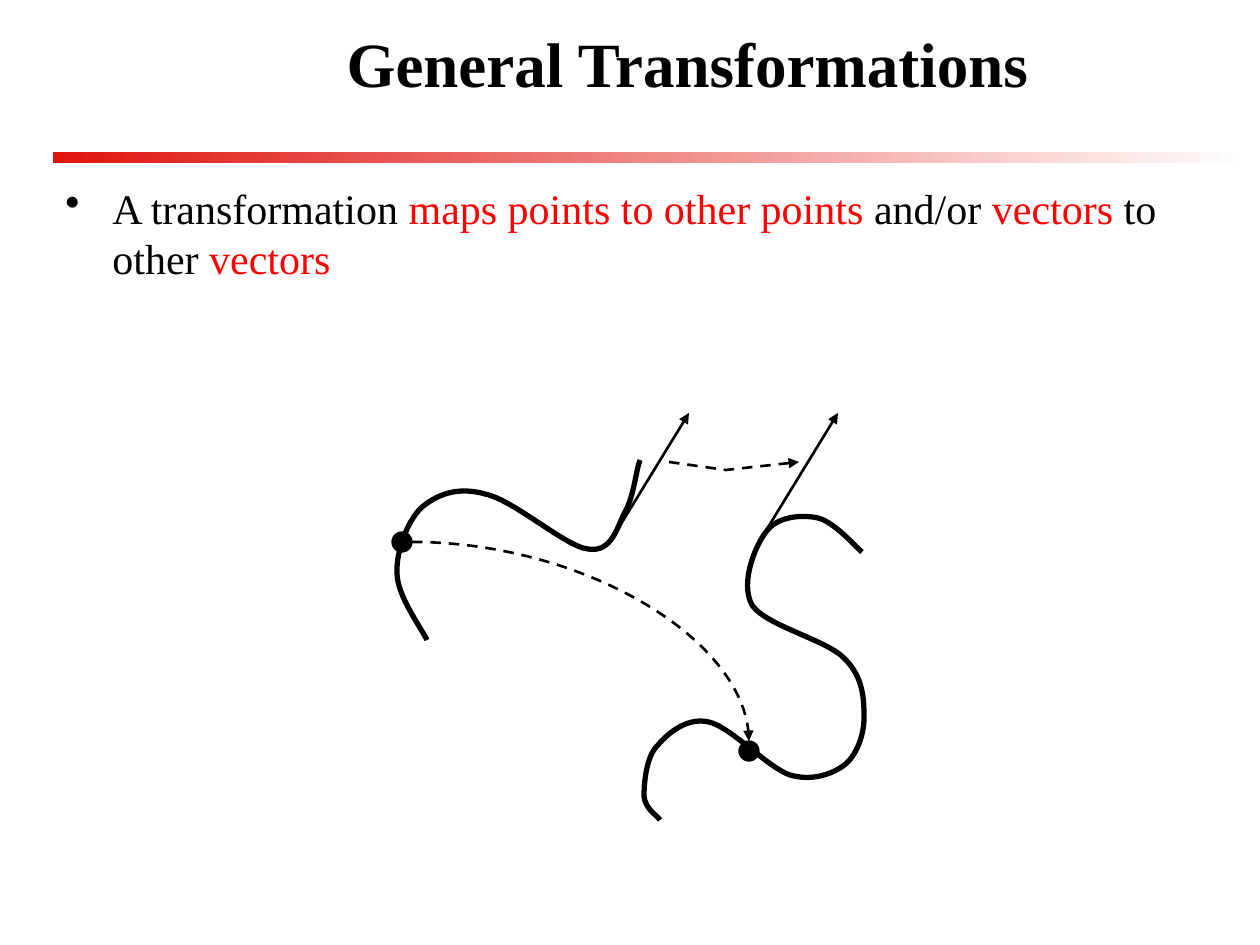
from dataclasses import dataclass

from lxml.etree import SubElement
from pptx import Presentation
from pptx.dml.color import RGBColor
from pptx.enum.dml import MSO_LINE_DASH_STYLE as Dash
from pptx.enum.shapes import MSO_CONNECTOR as Connector, MSO_SHAPE as Shape
from pptx.enum.text import MSO_ANCHOR as Anchor, MSO_AUTO_SIZE as AutoSize, PP_ALIGN as Align
from pptx.oxml.ns import qn
from pptx.util import Emu, Pt

SCALE = 914400 / 126  # EMU per px
Point = tuple[int, int]


@dataclass(frozen=True)
class Theme:
    font: str = "Times New Roman"
    ink: RGBColor = RGBColor(0, 0, 0)
    accent: RGBColor = RGBColor(0xFF, 0, 0)
    bar: RGBColor = RGBColor(0xDF, 0x14, 0x0F)
    paper: RGBColor = RGBColor(0xFF, 0xFF, 0xFF)
    title_size: int = 36
    body_size: int = 24
    curve_width: float = 3
    arrow_width: float = 1.5
    dot_width: float = 0.75


@dataclass(frozen=True)
class Span:
    text: str
    color: RGBColor


@dataclass(frozen=True)
class Arrow:
    start: Point
    end: Point
    curved: bool = False


THEME = Theme()

SENTENCE = [
    Span("A transformation ", THEME.ink),
    Span("maps points to other points", THEME.accent),
    Span(" and/or ", THEME.ink),
    Span("vectors", THEME.accent),
    Span(" to other ", THEME.ink),
    Span("vectors", THEME.accent),
]

# Each curve: a start point, then rows of two control points and an end point
SOURCE_CURVE = [
    (427, 640),
    (422, 629), (397, 596), (397, 573),
    (396, 552), (407, 522), (421, 508),
    (436, 495), (457, 486), (485, 494),
    (514, 500), (566, 547), (588, 549),
    (612, 553), (617, 527), (625, 512),
    (634, 496), (636, 470), (640, 460),
]
MAPPED_CURVE = [
    (660, 820),
    (658, 816), (645, 809), (644, 796),
    (644, 784), (646, 756), (658, 745),
    (669, 732), (688, 717), (709, 722),
    (731, 727), (767, 767), (790, 775),
    (811, 781), (830, 775), (843, 766),
    (856, 757), (864, 736), (864, 718),
    (864, 701), (864, 678), (845, 659),
    (828, 640), (766, 626), (752, 605),
    (740, 583), (755, 546), (766, 532),
    (776, 517), (801, 514), (818, 518),
    (834, 522), (853, 544), (862, 552),
]
VECTOR_MAP = [(669, 462), (726, 470), (799, 462)]
DOTS = [(402, 542), (749, 751)]
DOT_SIZE = 20
ARROWS = [
    Arrow((610, 542), (689, 413)),
    Arrow((759, 542), (838, 413)),
    Arrow((412, 542), (749, 741), curved=True),
]


def px(value: float) -> Emu:
    return Emu(round(value * SCALE))


def place(shape, left: int, top: int, width: int, height: int) -> None:
    shape.left, shape.top = px(left), px(top)
    shape.width, shape.height = px(width), px(height)


def style_font(font, size: int, color: RGBColor, bold: bool = False) -> None:
    font.name, font.size, font.bold = THEME.font, Pt(size), bold
    font.color.rgb = color


def style_line(shape, width: float, dashed: bool = False, arrow: bool = False) -> None:
    line = shape.line
    line.color.rgb, line.width = THEME.ink, Pt(width)
    if dashed:
        line.dash_style = Dash.DASH
    if arrow:
        SubElement(line._get_or_add_ln(), qn("a:tailEnd"), type="triangle")


def add_path(page, points: list[Point]):
    builder = page.shapes.build_freeform(*points[0], scale=SCALE)
    builder.add_line_segments(points[1:], close=False)
    shape = builder.convert_to_shape()
    shape.fill.background()
    shape.shadow.inherit = False
    return shape


def add_curve(page, points: list[Point]) -> None:
    shape = add_path(page, points)
    outline = shape._element.find(".//" + qn("a:path"))
    # Join every three line segments into one cubic segment
    segments = outline.findall(qn("a:lnTo"))
    for index in range(0, len(segments), 3):
        cubic = SubElement(outline, qn("a:cubicBezTo"))
        for segment in segments[index:index + 3]:
            cubic.append(segment[0])
            outline.remove(segment)
    style_line(shape, THEME.curve_width)


def add_arrow(page, arrow: Arrow) -> None:
    kind = Connector.CURVE if arrow.curved else Connector.STRAIGHT
    ends = [px(value) for value in arrow.start + arrow.end]
    connector = page.shapes.add_connector(kind, *ends)
    properties = connector._element.spPr
    if arrow.curved:
        properties.find(qn("a:prstGeom")).set("prst", "curvedConnector2")
    style_line(connector, THEME.arrow_width, dashed=arrow.curved, arrow=True)
    SubElement(properties, qn("a:effectLst"))


def add_dot(page, center: Point) -> None:
    left, top = (value - DOT_SIZE // 2 for value in center)
    dot = page.shapes.add_shape(Shape.OVAL, px(left), px(top), px(DOT_SIZE), px(DOT_SIZE))
    dot.shadow.inherit = False
    dot.fill.solid()
    dot.fill.fore_color.rgb = THEME.ink
    style_line(dot, THEME.dot_width)


def add_bar(page) -> None:
    bar = page.shapes.add_shape(Shape.RECTANGLE, px(53), px(152), px(1197), px(11))
    bar.shadow.inherit = False
    bar.line.fill.background()
    bar.fill.gradient()
    bar.fill.gradient_angle = 0
    for stop, color in zip(bar.fill.gradient_stops, (THEME.bar, THEME.paper)):
        stop.color.rgb = color


def set_title(page, text: str) -> None:
    title = page.shapes.title
    place(title, 147, 10, 1081, 105)
    frame = title.text_frame
    frame.text = text
    frame.auto_size, frame.vertical_anchor = AutoSize.NONE, Anchor.MIDDLE
    para = frame.paragraphs[0]
    para.alignment = Align.CENTER
    style_font(para.runs[0].font, THEME.title_size, THEME.ink, bold=True)


def add_bullet(page, spans: list[Span]) -> None:
    box = page.shapes.add_textbox(px(53), px(168), px(1176), px(672))
    frame = box.text_frame
    frame.word_wrap, frame.margin_top = True, px(14)
    para = frame.paragraphs[0]
    properties = para._p.get_or_add_pPr()
    properties.set("marL", str(px(47)))
    properties.set("indent", str(px(-47)))
    SubElement(properties, qn("a:buChar"), char="•")
    for span in spans:
        run = para.add_run()
        run.text = span.text
        style_font(run.font, THEME.body_size, span.color)


def main() -> None:
    deck = Presentation()
    deck.slide_width, deck.slide_height = px(1260), px(945)
    page = deck.slides.add_slide(deck.slide_layouts[5])

    # Heading and statement
    add_bar(page)
    set_title(page, "General Transformations")
    add_bullet(page, SENTENCE)

    # Curves with their points and vectors
    for curve in (MAPPED_CURVE, SOURCE_CURVE):
        add_curve(page, curve)
    for center in DOTS:
        add_dot(page, center)
    for arrow in ARROWS:
        add_arrow(page, arrow)

    # Mapping from one vector to the other
    style_line(add_path(page, VECTOR_MAP), THEME.arrow_width, dashed=True, arrow=True)
    deck.save("out.pptx")


if __name__ == "__main__":
    main()
